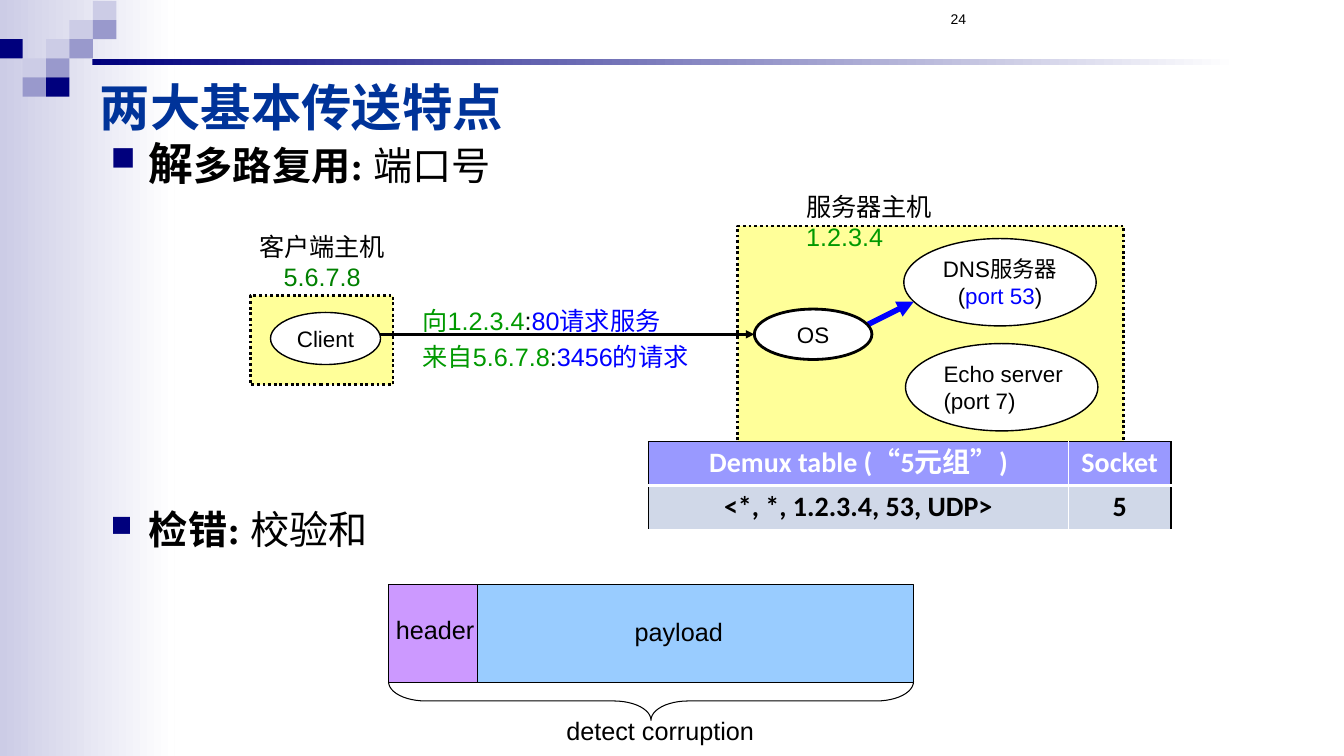
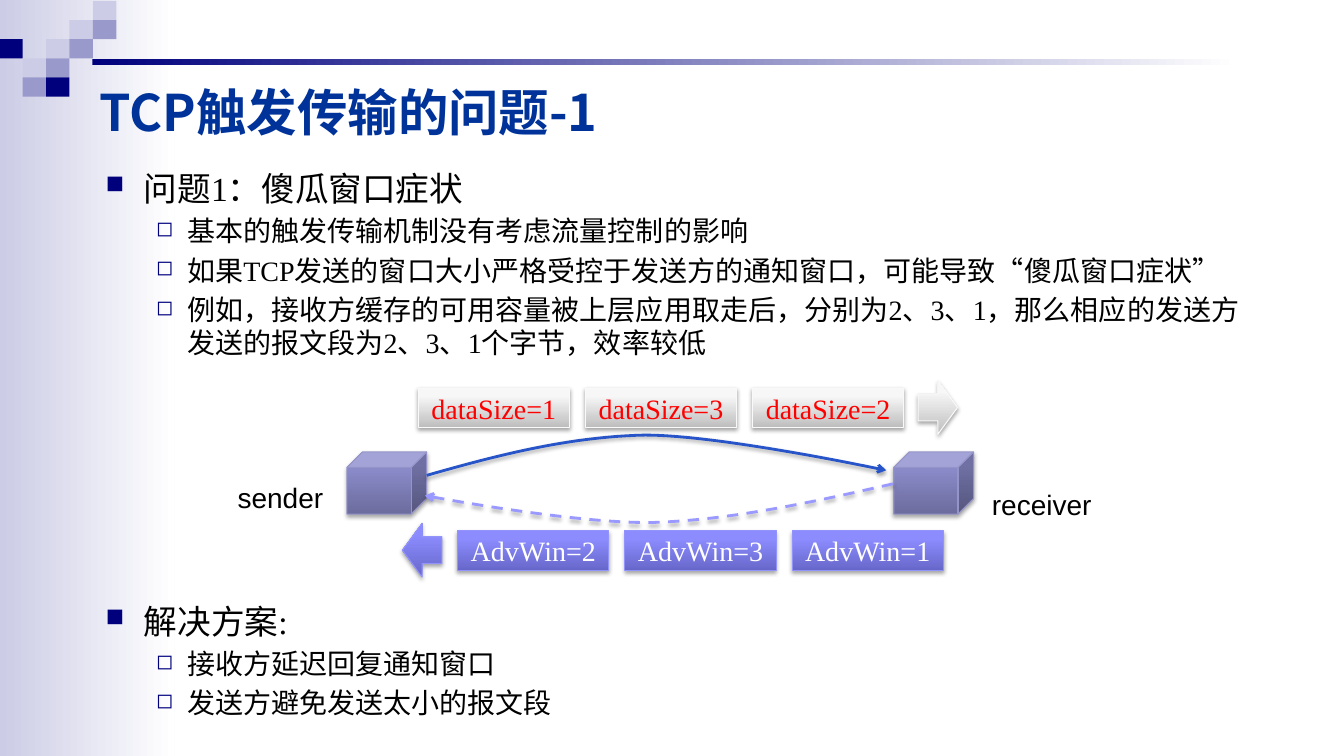
import lxml.etree
import pptx
import pptx.dml.color
import pptx.enum.dml
import pptx.enum.shapes
import pptx.enum.text
import pptx.oxml.ns
import pptx.util

RGBColor = pptx.dml.color.RGBColor
BLACK, WHITE = RGBColor(0, 0, 0), RGBColor(255, 255, 255)
NAVY = RGBColor(0x00, 0x00, 0x7D)
LILAC = RGBColor(0x99, 0x99, 0xCC)
MIST = RGBColor(0xCC, 0xCC, 0xE6)
TITLE_BLUE = RGBColor(0x00, 0x33, 0x99)
BLUE = RGBColor(0x00, 0x00, 0xFF)
RED = RGBColor(0xFF, 0x00, 0x00)
GREEN = RGBColor(0x00, 0x99, 0x00)
DARK_GREEN = RGBColor(0x00, 0x80, 0x00)
YELLOW = RGBColor(0xFF, 0xFF, 0x99)
SKY = RGBColor(0x99, 0xCC, 0xFF)
VIOLET = RGBColor(0xCC, 0x99, 0xFF)
PERIWINKLE = RGBColor(0x99, 0x99, 0xFF)
PALE_BLUE = RGBColor(0xD0, 0xD8, 0xE8)
CURVE_BLUE = RGBColor(0x27, 0x55, 0xC9)
CUBE_FILL = (RGBColor(0x6C, 0x6C, 0x9E), RGBColor(0x8D, 0x8D, 0xCD))
CUBE_LINE = RGBColor(0x94, 0x94, 0xC9)
WINDOW_FILL = (RGBColor(0x67, 0x67, 0xCA), RGBColor(0x8C, 0x8C, 0xFF))
WINDOW_LINE = RGBColor(0x93, 0x93, 0xFC)
DATA_FILL = (RGBColor(0xBE, 0xBE, 0xBE), RGBColor(0xF7, 0xF7, 0xF7))
DATA_LINE = RGBColor(0xF9, 0xF9, 0xF9)

ARIAL, TIMES, CALIBRI = "Arial", "Times New Roman", "Calibri"
CHINESE = "Noto Sans CJK SC"
KIND = pptx.enum.shapes.MSO_SHAPE
DASH = pptx.enum.dml.MSO_LINE
ALIGN = pptx.enum.text.PP_ALIGN
ANCHOR = pptx.enum.text.MSO_ANCHOR
Pt = pptx.util.Pt
qn = pptx.oxml.ns.qn
SubElement = lxml.etree.SubElement

# Slide size and a grid of 160 columns by 90 rows
deck = pptx.Presentation()
deck.slide_height = pptx.util.Inches(7.5)
deck.slide_width = deck.slide_height * 16 // 9
COLUMN, ROW = deck.slide_width // 160, deck.slide_height // 90


def add_part(page, kind, left, top, width, height, fill=None, line=None, weight=0.75, angle=90):
    """Place a shape by grid units, or a text box when kind is None."""
    box = (round(left * COLUMN), round(top * ROW), round(width * COLUMN), round(height * ROW))
    if kind is None:
        return page.shapes.add_textbox(*box)
    shape = page.shapes.add_shape(kind, *box)
    shape.shadow.inherit = False
    if fill is None:
        shape.fill.background()
    elif isinstance(fill, RGBColor):
        shape.fill.solid()
        shape.fill.fore_color.rgb = fill
    else:
        shape.fill.gradient()
        shape.fill.gradient_angle = angle
        for stop, color in zip(shape.fill.gradient_stops, fill):
            stop.color.rgb = color
        if angle:
            shape.fill.gradient_stops[1].position = 0.8
    if line is None:
        shape.line.fill.background()
    else:
        shape.line.color.rgb = line
        shape.line.width = Pt(weight)
    return shape


def write(frame, paragraphs, size, font=ARIAL, color=BLACK, align=ALIGN.LEFT,
          bold=False, anchor=ANCHOR.TOP, wrap=True):
    """Fill a text frame; a paragraph is a list of (text, colour or None)."""
    frame.word_wrap = wrap
    frame.vertical_anchor = anchor
    for index, spans in enumerate(paragraphs):
        para = frame.add_paragraph() if index else frame.paragraphs[0]
        para.alignment = align
        para.line_spacing = Pt(1.2 * size)
        para.font.size, para.font.name, para.font.bold = Pt(size), font, bold
        para.font.color.rgb = color
        SubElement(para.font._element, qn("a:ea"), typeface=CHINESE)
        for text, span_color in spans:
            span = para.add_run()
            span.text = text
            if span_color is not None:
                span.font.color.rgb = span_color
    return frame.paragraphs


# Shared look: side band, squares, rule and title
SQUARES = ["....L", "...LM", "D.LM.", ".LM..", ".MD.."]
SQUARE_COLORS = {"L": MIST, "M": LILAC, "D": NAVY}
SQUARE_WIDTH, SQUARE_HEIGHT = 2.79, 2.28
pages = []
for title, title_top in [("两大基本传送特点", 8.4), ("TCP触发传输的问题-1", 9)]:
    page = deck.slides.add_slide(deck.slide_layouts[6])
    pages.append(page)
    add_part(page, KIND.RECTANGLE, 0, 0, 20.8, 90, (MIST, WHITE), angle=0)
    for row, marks in enumerate(SQUARES):
        for column, mark in enumerate(marks):
            if mark in SQUARE_COLORS:
                add_part(page, KIND.RECTANGLE, column * SQUARE_WIDTH - 0.1,
                         row * SQUARE_HEIGHT + 0.1, SQUARE_WIDTH, SQUARE_HEIGHT,
                         SQUARE_COLORS[mark])
    add_part(page, KIND.RECTANGLE, 11, 7, 136.4, 0.7, (NAVY, WHITE), angle=0)
    box = add_part(page, None, 10.7, title_top, 109.6, 8.5)
    write(box.text_frame, [[(title, None)]], 36, CHINESE, TITLE_BLUE,
          bold=True, anchor=ANCHOR.MIDDLE)
demux, window = pages

# Bulleted outlines: page, left, top, width, height, bold, sizes by level, lines
OUTLINES = [
    (demux, 12, 16.4, 114, 6, True, (28,),
     [(0, ["解", "多路复用: ", "端口号"])]),
    (demux, 12, 59.6, 60, 6, True, (28,),
     [(0, ["检错: ", "校验和"])]),
    (window, 11.4, 19.4, 140.6, 24, False, (24, 20),
     [(0, ["问题1：傻瓜窗口症状"]),
      (1, ["基本的触发传输机制没有考虑流量控制的影响"]),
      (1, ["如果TCP发送的窗口大小严格受控于发送方的通知窗口，可能导致“傻瓜窗口症状”"]),
      (1, ["例如，接收方缓存的可用容量被上层应用取走后，分别为2、3、1，"
           "那么相应的发送方发送的报文段为2、3、1个字节，效率较低"])]),
    (window, 11.4, 70.9, 140.6, 16, False, (24, 20),
     [(0, ["解决方案:"]), (1, ["接收方延迟回复通知窗口"]), (1, ["发送方避免发送太小的报文段"])]),
]
BULLETS = [("■", 0.38, -0.38), ("◻", 0.81, -0.31)]
for page, left, top, width, height, bold, sizes, lines in OUTLINES:
    frame = add_part(page, None, left, top, width, height).text_frame
    paras = write(frame, [[(text, None) for text in texts] for level, texts in lines],
                  sizes[0], TIMES, bold=bold)
    for index, (para, (level, texts)) in enumerate(zip(paras, lines)):
        size = sizes[level]
        para.level = level
        para.font.size = Pt(size)
        para.line_spacing = Pt(1.2 * size)
        para.space_before = Pt(0.2 * size if index else 0)
        if len(texts) > 1:
            para.runs[-1].font.bold = False
        if texts[0] == "解":
            para.runs[0].font.size = Pt(32)
        mark, margin, indent = BULLETS[level]
        properties = para._p.get_or_add_pPr()
        properties.set("marL", str(pptx.util.Inches(margin)))
        properties.set("indent", str(pptx.util.Inches(indent)))
        tint = SubElement(properties, qn("a:buClr"))
        SubElement(tint, qn("a:srgbClr"), val=str(NAVY))
        scale = SubElement(properties, qn("a:buSzPct"), val="75000")
        bullet = SubElement(properties, qn("a:buChar"), char=mark)
        defaults = properties.find(qn("a:defRPr"))
        for element in (tint, scale, bullet):
            defaults.addprevious(element)

# Slide 1: page number
box = add_part(demux, None, 112, 0, 28, 3.8)
write(box.text_frame, [[("24", None)]], 10, anchor=ANCHOR.BOTTOM)

# Slide 1: host areas, then the arrows, then the processes on top
for area in [(29.8, 35.2, 17, 10.6), (87.8, 26.9, 46, 26)]:
    host = add_part(demux, KIND.RECTANGLE, *area, YELLOW, BLACK, 2)
    host.line.dash_style = DASH.ROUND_DOT

arrows = []
for start, end, color, weight in [((44.8, 39.8), (89.8, 39.8), BLACK, 2),
                                  ((102.8, 38.9), (108.8, 35.9), BLUE, 4)]:
    arrow = demux.shapes.add_connector(
        pptx.enum.shapes.MSO_CONNECTOR.STRAIGHT,
        *(round(value * unit) for point in (start, end)
          for value, unit in zip(point, (COLUMN, ROW))))
    arrow.line.color.rgb = color
    arrow.line.width = Pt(weight)
    SubElement(arrow._element.spPr, qn("a:effectLst"))
    arrows.append((arrow, "triangle"))

PROCESSES = [
    ((107.6, 28.4, 22.9, 10.4), 1, ALIGN.CENTER,
     [[("DNS服务器", None)], [("(", None), ("port 53", BLUE), (")", None)]]),
    ((107.8, 40.9, 22.9, 10.4), 1, ALIGN.LEFT,
     [[("Echo server", None)], [("(port 7)", None)]]),
    ((89.8, 36.8, 14, 6), 2, ALIGN.CENTER, [[("OS", None)]]),
    ((32.2, 37.2, 13.1, 6.2), 1, ALIGN.CENTER, [[("Client", None)]]),
]
for area, weight, align, paragraphs in PROCESSES:
    process = add_part(demux, KIND.OVAL, *area, WHITE, BLACK, weight)
    write(process.text_frame, paragraphs, 16, align=align, anchor=ANCHOR.MIDDLE, wrap=False)

# Slide 1: packet with its brace
add_part(demux, KIND.RECTANGLE, 46.2, 69.6, 62.5, 11.6, SKY, BLACK)
add_part(demux, KIND.RECTANGLE, 46.2, 69.6, 10.7, 11.6, VIOLET, BLACK)
brace = add_part(demux, KIND.LEFT_BRACE, 75.2, 52.2, 4.6, 62.5, None, BLACK)
brace.adjustments[0] = 0.96
brace.rotation = 270

# Labels of both slides
LABELS = [
    (demux, (28.6, 26.9, 19.5, 8.5), 18, ALIGN.CENTER,
     [[("客户端主机", None)], [("5.6.7.8", DARK_GREEN)]]),
    (demux, (94.8, 22.2, 19, 8), 18, ALIGN.LEFT,
     [[("服务器主机 ", None), ("1.2.3.4", GREEN)]]),
    (demux, (49.1, 35.8, 38.5, 4.8), 18, ALIGN.LEFT,
     [[("向1.2.3.4", GREEN), (":", None), ("80请求服务", BLUE)]]),
    (demux, (49.1, 40, 38.5, 4.8), 18, ALIGN.LEFT,
     [[("来自5.6.7.8", GREEN), (":", None), ("3456的请求", BLUE)]]),
    (demux, (44.3, 72.6, 15, 4.8), 18, ALIGN.CENTER, [[("header", None)]]),
    (demux, (70.8, 72.8, 20, 4.8), 18, ALIGN.CENTER, [[("payload", None)]]),
    (demux, (63.6, 84.6, 30, 4.8), 18, ALIGN.CENTER, [[("detect corruption", None)]]),
    (window, (27.1, 56.6, 14, 5.2), 20, ALIGN.LEFT, [[("sender", None)]]),
    (window, (116.9, 57.5, 16, 5.2), 20, ALIGN.LEFT, [[("receiver", None)]]),
]
for page, area, size, align, paragraphs in LABELS:
    write(add_part(page, None, *area).text_frame, paragraphs, size, align=align)

# Slide 1: demux table, black outer edges and white inner ones
CELLS = [["Demux table (“5元组”)", "Socket"], ["<*, *, 1.2.3.4, 53, UDP>", "5"]]
COLUMN_SPANS, ROW_SPAN = (50, 12.2), 5.2
table = demux.shapes.add_table(
    2, 2, round(77.2 * COLUMN), round(52.6 * ROW),
    round(sum(COLUMN_SPANS) * COLUMN), round(2 * ROW_SPAN * ROW)).table
for column, span in enumerate(COLUMN_SPANS):
    table.columns[column].width = round(span * COLUMN)
for row, texts in enumerate(CELLS):
    table.rows[row].height = round(ROW_SPAN * ROW)
    for column, text in enumerate(texts):
        cell = table.cell(row, column)
        cell.fill.solid()
        cell.fill.fore_color.rgb = PALE_BLUE if row else PERIWINKLE
        write(cell.text_frame, [[(text, None)]], 20, CALIBRI,
              BLACK if row else WHITE, ALIGN.CENTER, bold=True)
        edges = [("a:lnL", WHITE if column else BLACK, 1),
                 ("a:lnR", BLACK if column else WHITE, 1),
                 ("a:lnT", WHITE if row else BLACK, 3 if row else 1),
                 ("a:lnB", WHITE, 1 if row else 3)]
        properties = cell._tc.get_or_add_tcPr()
        for position, (tag, color, weight) in enumerate(edges):
            edge = SubElement(properties, qn(tag), w=str(Pt(weight)))
            SubElement(SubElement(edge, qn("a:solidFill")), qn("a:srgbClr"), val=str(color))
            properties.insert(position, edge)

# Slide 2: sender and receiver cubes
raised = [add_part(window, KIND.CUBE, left, 53.8, 9.5, 7.4, CUBE_FILL, CUBE_LINE)
          for left in (41.3, 106.4)]

# Slide 2: curved paths, each of two cubic pieces sharing a middle point
CURVES = [
    (CURVE_BLUE, None, [(50.8, 56.6), (59.2, 54.2), (67.7, 52), (76.8, 51.8),
                        (85.9, 51.8), (105.5, 56), (105.5, 56)]),
    (PERIWINKLE, DASH.DASH, [(106.3, 57.6), (96.7, 59.8), (87, 61.9), (77.8, 62.2),
                             (68.5, 62.4), (50.6, 59), (50.6, 59)]),
]
STEPS = 24
for color, dash, controls in CURVES:
    points = []
    for first in (0, 3):
        for step in range(STEPS + 1):
            t = step / STEPS
            weights = ((1 - t) ** 3, 3 * t * (1 - t) ** 2, 3 * t * t * (1 - t), t ** 3)
            x, y = (sum(w * point[axis] for w, point in zip(weights, controls[first:first + 4]))
                    for axis in (0, 1))
            points.append((round(x * COLUMN), round(y * ROW)))
    builder = window.shapes.build_freeform(*points[0])
    builder.add_line_segments(points[1:], close=False)
    curve = builder.convert_to_shape()
    curve.shadow.inherit = False
    curve.fill.background()
    curve.line.color.rgb = color
    curve.line.width = Pt(2)
    if dash:
        curve.line.dash_style = dash
    raised.append(curve)
    arrows.append((curve, "arrow"))

# Slide 2: rows of segments, each with a direction arrow
SEGMENT_ROWS = [
    ("AdvWin", (2, 3, 1), 54.5, 63.2, WINDOW_FILL, WINDOW_LINE, WHITE, KIND.LEFT_ARROW, 47.9),
    ("dataSize", (1, 3, 2), 49.8, 46.2, DATA_FILL, DATA_LINE, RED, KIND.RIGHT_ARROW, 109.3),
]
for name, values, left, top, fill, line, color, arrow_kind, arrow_left in SEGMENT_ROWS:
    for index, value in enumerate(values):
        segment = add_part(window, KIND.RECTANGLE, left + 19.9 * index, top, 18, 4.7, fill, line)
        write(segment.text_frame, [[(f"{name}={value}", None)]], 20, TIMES, color,
              ALIGN.CENTER, anchor=ANCHOR.MIDDLE, wrap=False)
        raised.append(segment)
    raised.append(add_part(window, arrow_kind, arrow_left, top - 0.9, 4.7, 6.4, fill, line))

# Arrowheads and soft shadows
for arrow, head in arrows:
    SubElement(arrow.line._get_or_add_ln(), qn("a:tailEnd"), type=head)
for shape in raised:
    shadow = SubElement(shape._element.spPr.find(qn("a:effectLst")), qn("a:outerShdw"),
                        blurRad=str(Pt(3.1)), dist=str(Pt(1.8)), dir="5400000", rotWithShape="0")
    shade = SubElement(shadow, qn("a:srgbClr"), val=str(BLACK))
    SubElement(shade, qn("a:alpha"), val="35000")

deck.save("out.pptx")
